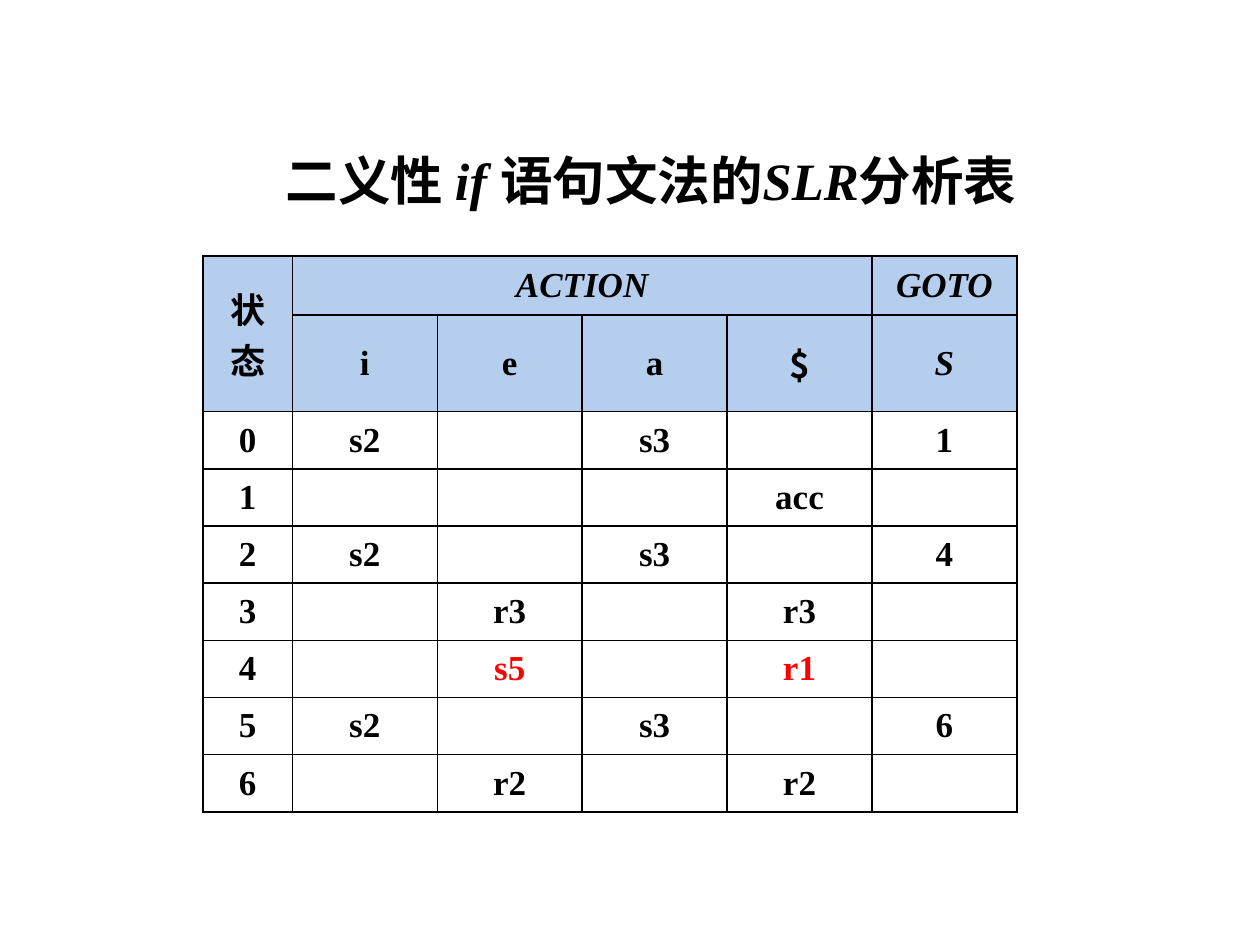
from lxml.etree import SubElement
from pptx import Presentation
from pptx.dml.color import RGBColor
from pptx.enum.text import MSO_ANCHOR, PP_ALIGN
from pptx.oxml.ns import qn
from pptx.util import Pt

CJK, LATIN = "Noto Sans CJK SC", "Times New Roman"
BLACK, RED, HEADER_BLUE = "000000", "FF0000", "B5CEED"

STATE_WIDTH, SYMBOL_WIDTH = 51.1, 82.8
TOP_ROW_HEIGHT, ROW_HEIGHT = 33.84, 32.67

HEADER = [
    ["状态", "ACTION", "", "", "", "GOTO"],
    ["", "i", "e", "a", "$", "S"],
]
STATES = [
    ["0", "s2", "", "s3", "", "1"],
    ["1", "", "", "", "acc", ""],
    ["2", "s2", "", "s3", "", "4"],
    ["3", "", "r3", "", "r3", ""],
    ["4", "", "s5", "", "r1", ""],
    ["5", "s2", "", "s3", "", "6"],
    ["6", "", "r2", "", "r2", ""],
]
CJK_ENTRIES = {"状态", "$"}
ITALIC_ENTRIES = {"ACTION", "GOTO", "S"}
CONFLICT_ENTRIES = {"s5", "r1"}


def color(hex_string):
    return RGBColor.from_string(hex_string)


def add_run(paragraph, text, size, typeface, italic=False, hex_color=BLACK):
    run = paragraph.add_run()
    run.text = text
    font = run.font
    font.size, font.bold, font.italic = Pt(size), True, italic
    font.color.rgb = color(hex_color)
    font.name = typeface
    SubElement(font._element, qn("a:ea"), typeface=typeface)


def add_title(slide):
    title = slide.shapes.add_textbox(Pt(60), Pt(88.5), Pt(624), Pt(28))
    frame = title.text_frame
    frame.word_wrap = True
    frame.vertical_anchor = MSO_ANCHOR.MIDDLE
    paragraph = frame.paragraphs[0]
    paragraph.alignment = PP_ALIGN.CENTER
    for text, typeface in [("二义性 ", CJK), ("if ", LATIN), ("语句文法的", CJK),
                           ("SLR", LATIN), ("分析表", CJK)]:
        add_run(paragraph, text, 30, typeface, italic=typeface == LATIN)


def add_borders(cell):
    properties = cell._tc.get_or_add_tcPr()
    for position, side in enumerate(("a:lnL", "a:lnR", "a:lnT", "a:lnB")):
        line = SubElement(properties, qn(side), w=str(Pt(1)))
        fill = SubElement(line, qn("a:solidFill"))
        SubElement(fill, qn("a:srgbClr"), val=BLACK)
        properties.insert(position, line)  # borders come before the fill


def fill_cell(cell, entry, is_header):
    cell.margin_left = cell.margin_right = Pt(7.2)
    cell.margin_top = cell.margin_bottom = Pt(3.6)
    cell.vertical_anchor = MSO_ANCHOR.MIDDLE
    if is_header:
        cell.fill.solid()
        cell.fill.fore_color.rgb = color(HEADER_BLUE)
    else:
        cell.fill.background()
    add_borders(cell)
    if entry:
        paragraph = cell.text_frame.paragraphs[0]
        paragraph.alignment = PP_ALIGN.CENTER
        add_run(paragraph, entry, 20,
                CJK if entry in CJK_ENTRIES else LATIN,
                entry in ITALIC_ENTRIES,
                RED if entry in CONFLICT_ENTRIES else BLACK)


def add_parsing_table(slide):
    entries = HEADER + STATES
    row_count, column_count = len(entries), len(entries[0])
    table = slide.shapes.add_table(
        row_count, column_count, Pt(116), Pt(146.2),
        Pt(STATE_WIDTH + (column_count - 1) * SYMBOL_WIDTH),
        Pt(TOP_ROW_HEIGHT + (row_count - 1) * ROW_HEIGHT)).table
    table.first_row = table.horz_banding = False

    # Column widths and row heights
    for index, column in enumerate(table.columns):
        column.width = Pt(SYMBOL_WIDTH if index else STATE_WIDTH)
    for index, row in enumerate(table.rows):
        row.height = Pt(ROW_HEIGHT if index else TOP_ROW_HEIGHT)

    # Merged headings: state down two rows, ACTION across its symbols
    table.cell(0, 0).merge(table.cell(1, 0))
    table.cell(0, 1).merge(table.cell(0, 4))

    for row_index, row in enumerate(entries):
        for column_index, entry in enumerate(row):
            fill_cell(table.cell(row_index, column_index), entry,
                      row_index < len(HEADER))


def main():
    presentation = Presentation()
    presentation.slide_width, presentation.slide_height = Pt(720), Pt(540)
    slide = presentation.slides.add_slide(presentation.slide_layouts[6])
    add_title(slide)
    add_parsing_table(slide)
    presentation.save("out.pptx")


if __name__ == "__main__":
    main()
